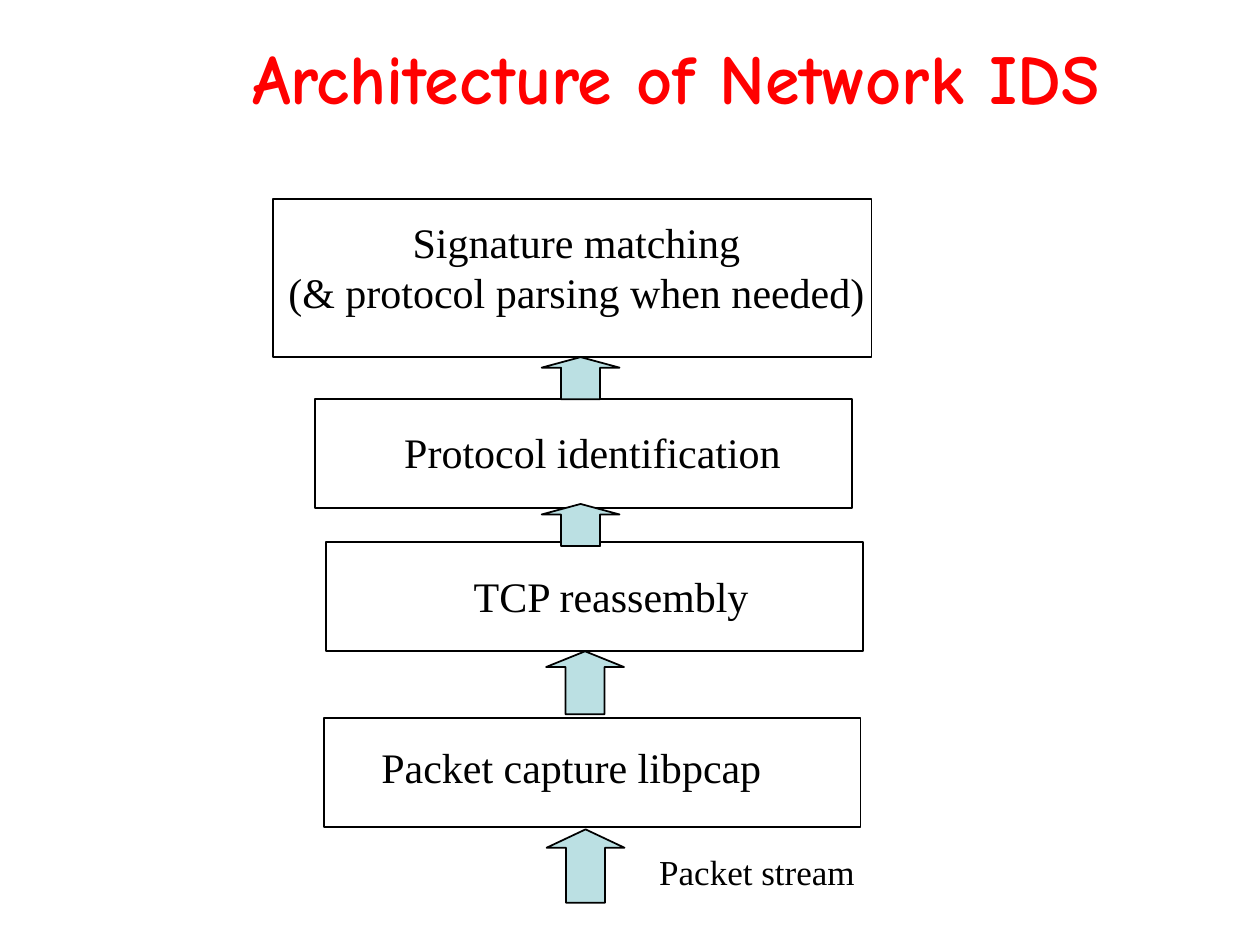
"""Build a slide showing the layered architecture of a network IDS."""
from pptx import Presentation
from pptx.dml.color import RGBColor
from pptx.enum.shapes import MSO_SHAPE
from pptx.enum.text import MSO_ANCHOR, MSO_AUTO_SIZE, PP_ALIGN
from pptx.util import Cm, Pt

RECTANGLE, UP_ARROW = MSO_SHAPE.RECTANGLE, MSO_SHAPE.UP_ARROW
MIDDLE = MSO_ANCHOR.MIDDLE
FIT_SHAPE, NO_FIT = MSO_AUTO_SIZE.SHAPE_TO_FIT_TEXT, MSO_AUTO_SIZE.NONE
LEFT, CENTER = PP_ALIGN.LEFT, PP_ALIGN.CENTER

COLORS = {"title": "FF0000", "ink": "000000", "arrow": "BBE0E3"}
TITLE = "Architecture of Network IDS"
TITLE_AREA = (2.92, 0.43, 21.41, 2.24)
TITLE_FONT = {"name": "Comic Neue", "size": Pt(40), "bold": True}
LABEL_FONT = "Times New Roman"

LAYER_WIDTH, LAYER_HEIGHT = 10.82, 2.2
LAYERS = [(6.53, 14.48), (6.58, 10.92), (6.35, 8.05)]
MATCHING_AREA = (5.51, 4.02, 12.06, 3.18)

ARROW_WIDTH = 1.57
ARROWS = [
    (11.02, 16.72, 1.48),
    (11.01, 13.13, 1.27),
    (10.92, 10.16, 0.85),
    (10.92, 7.2, 0.85),
]
ARROW_ADJUSTMENTS = (0.5, 0.25)

LABELS = [
    (["Packet capture libpcap"], (7.44, 14.82, 8.25, 1.27), 24, LEFT),
    (["TCP reassembly"], (9.3, 11.38, 6.15, 1.27), 24, LEFT),
    (["Protocol identification"], (7.9, 8.47, 8.2, 1.27), 24, LEFT),
    (["Packet stream"], (13.04, 17.02, 4.55, 1.12), 20, LEFT),
    (["Signature matching", "(& protocol parsing when needed)"],
     (5.5, 4.24, 12.24, 2.29), 24, CENTER),
]


def lengths(area):
    return [Cm(value) for value in area]


def set_all(target, values):
    for name, value in values.items():
        setattr(target, name, value)


def add_outline(slide, kind, area, fill=None):
    shape = slide.shapes.add_shape(kind, *lengths(area))
    shape.shadow.inherit = False
    if fill:
        shape.fill.solid()
        shape.fill.fore_color.rgb = RGBColor.from_string(COLORS[fill])
    else:
        shape.fill.background()
    shape.line.color.rgb = RGBColor.from_string(COLORS["ink"])
    shape.line.width = Pt(1)
    return shape


def write_span(para, text, font, color):
    span = para.add_run()
    span.text = text
    set_all(span.font, font)
    span.font.color.rgb = RGBColor.from_string(COLORS[color])


def add_title(slide):
    title = slide.shapes.title
    set_all(title, dict(zip(("left", "top", "width", "height"), lengths(TITLE_AREA))))
    set_all(title.text_frame, {"vertical_anchor": MIDDLE, "word_wrap": True,
                               "auto_size": NO_FIT})
    para = title.text_frame.paragraphs[0]
    set_all(para, {"alignment": CENTER, "space_before": Pt(12), "space_after": Pt(3)})
    write_span(para, TITLE, TITLE_FONT, "title")


def add_label(slide, lines, area, size, alignment):
    frame = slide.shapes.add_textbox(*lengths(area)).text_frame
    set_all(frame, {"word_wrap": True, "auto_size": FIT_SHAPE})
    for index, line in enumerate(lines):
        para = frame.add_paragraph() if index else frame.paragraphs[0]
        para.alignment = alignment
        write_span(para, line, {"name": LABEL_FONT, "size": Pt(size)}, "ink")


def main():
    deck = Presentation()
    deck.slide_width, deck.slide_height = Cm(25.4), Cm(19.05)
    slide = deck.slides.add_slide(deck.slide_layouts.get_by_name("Title Only"))
    add_title(slide)
    add_outline(slide, RECTANGLE, MATCHING_AREA)
    for left, top in LAYERS:
        add_outline(slide, RECTANGLE, (left, top, LAYER_WIDTH, LAYER_HEIGHT))
    for left, top, height in ARROWS:
        arrow = add_outline(slide, UP_ARROW, (left, top, ARROW_WIDTH, height), "arrow")
        for index, value in enumerate(ARROW_ADJUSTMENTS):
            arrow.adjustments[index] = value
    for label in LABELS:
        add_label(slide, *label)
    deck.save("out.pptx")


if __name__ == "__main__":
    main()
